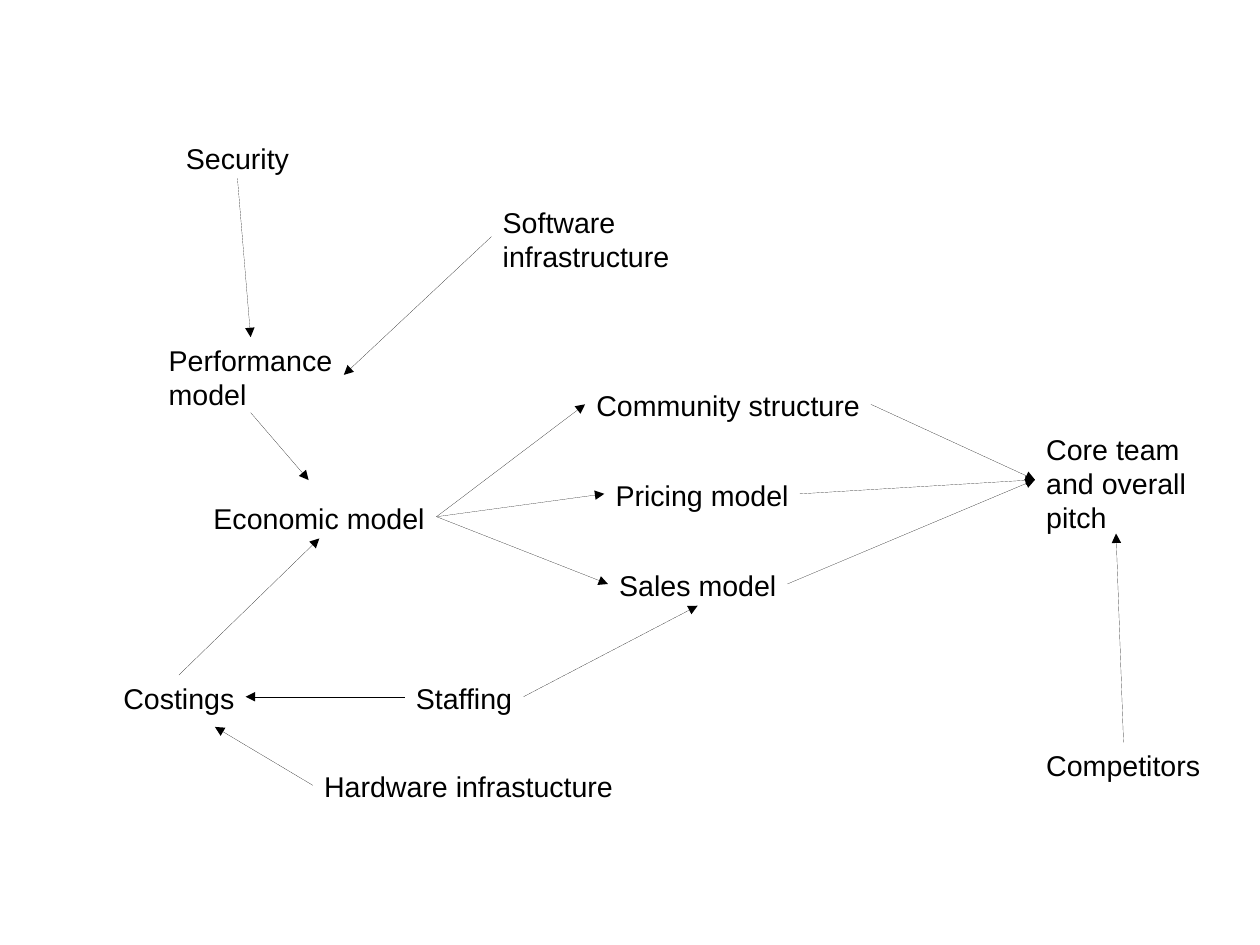
import pptx
import pptx.dml.color
import pptx.enum.shapes
import pptx.enum.text
import pptx.oxml
import pptx.oxml.ns
import pptx.util

Pt = pptx.util.Pt
COLOURS = {"ink": "000000"}
TOP, LEFT, BOTTOM, RIGHT = range(4)

# key: (left, top, width, wording)
TOPICS = {
    "community": (368.6, 241, 180, "Community structure"),
    "pricing": (380.7, 297.4, 123.1, "Pricing model"),
    "sales": (383, 354.2, 113, "Sales model"),
    "economic": (127.4, 311.8, 147.6, "Economic model"),
    "hardware": (197.1, 481, 196.6, "Hardware infrastucture"),
    "software": (309.6, 125.3, 119.5, "Software\ninfrastructure"),
    "performance": (99.2, 212.4, 117.4, "Performance\nmodel"),
    "security": (110, 85, 79.2, "Security"),
    "costings": (70.6, 425.2, 84.2, "Costings"),
    "core team": (652, 268.4, 102.2, "Core team\nand overall\npitch"),
    "competitors": (652, 467.7, 111.6, "Competitors"),
    "staffing": (254.9, 425.2, 74.9, "Staffing"),
}

INFLUENCES = [
    ("security", BOTTOM, "performance", TOP),
    ("software", LEFT, "performance", RIGHT),
    ("costings", TOP, "economic", BOTTOM),
    ("staffing", LEFT, "costings", RIGHT),
    ("economic", RIGHT, "sales", LEFT),
    ("economic", RIGHT, "pricing", LEFT),
    ("economic", RIGHT, "community", LEFT),
    ("community", RIGHT, "core team", LEFT),
    ("pricing", RIGHT, "core team", LEFT),
    ("sales", RIGHT, "core team", LEFT),
    ("competitors", TOP, "core team", BOTTOM),
    ("staffing", RIGHT, "sales", BOTTOM),
]

# Arrows whose head stops beside a topic rather than at a side's middle
LOOSE_INFLUENCES = [
    ("performance", BOTTOM, (194.4, 302.4)),
    ("hardware", LEFT, (135.4, 457.9)),
]


def side_middle(box, side):
    across, down = {TOP: (0.5, 0), LEFT: (0, 0.5), BOTTOM: (0.5, 1), RIGHT: (1, 0.5)}[side]
    return int(box.left + across * box.width), int(box.top + down * box.height)


class InfluenceMap:
    ink = pptx.dml.color.RGBColor.from_string(COLOURS["ink"])
    frame_format = {
        "word_wrap": False,
        "auto_size": pptx.enum.text.MSO_AUTO_SIZE.SHAPE_TO_FIT_TEXT,
        "margin_right": Pt(5.5),
    }
    font_format = {"name": "Arial", "size": Pt(18)}
    line_height = 20.15
    padding = 7.2
    hairline = Pt(0.01)

    def __init__(self, slide):
        self.slide = slide

    def topic(self, left, top, width, wording):
        height = self.padding + self.line_height * len(wording.split("\n"))
        box = self.slide.shapes.add_textbox(Pt(left), Pt(top), Pt(width), Pt(height))
        frame = box.text_frame
        for name, value in self.frame_format.items():
            setattr(frame, name, value)
        frame.text = wording
        for paragraph in frame.paragraphs:
            font = paragraph.runs[0].font
            for name, value in self.font_format.items():
                setattr(font, name, value)
            font.color.rgb = self.ink
        return box

    def arrow(self, source, source_side, tip):
        """Draw an arrow from the middle of a topic's side to the tip point."""
        link = self.slide.shapes.add_connector(
            pptx.enum.shapes.MSO_CONNECTOR.STRAIGHT, *side_middle(source, source_side), *tip)
        link.begin_connect(source, source_side)
        link.line.color.rgb = self.ink
        link.line.width = self.hairline
        properties = link._element.spPr
        namespace = pptx.oxml.ns.nsdecls("a")
        outline = properties.find(pptx.oxml.ns.qn("a:ln"))
        outline.append(pptx.oxml.parse_xml(f'<a:tailEnd {namespace} type="triangle"/>'))
        properties.append(pptx.oxml.parse_xml(f"<a:effectLst {namespace}/>"))
        return link

    def influence(self, source, source_side, target, target_side):
        link = self.arrow(source, source_side, side_middle(target, target_side))
        link.end_connect(target, target_side)


def main():
    deck = pptx.Presentation()
    deck.slide_width, deck.slide_height = Pt(793.75), Pt(595.25)
    influence_map = InfluenceMap(deck.slides.add_slide(deck.slide_layouts[6]))
    topics = {key: influence_map.topic(*topic) for key, topic in TOPICS.items()}
    for source, source_side, target, target_side in INFLUENCES:
        influence_map.influence(topics[source], source_side, topics[target], target_side)
    for source, source_side, (x, y) in LOOSE_INFLUENCES:
        influence_map.arrow(topics[source], source_side, (Pt(x), Pt(y)))
    deck.save("out.pptx")


if __name__ == "__main__":
    main()
